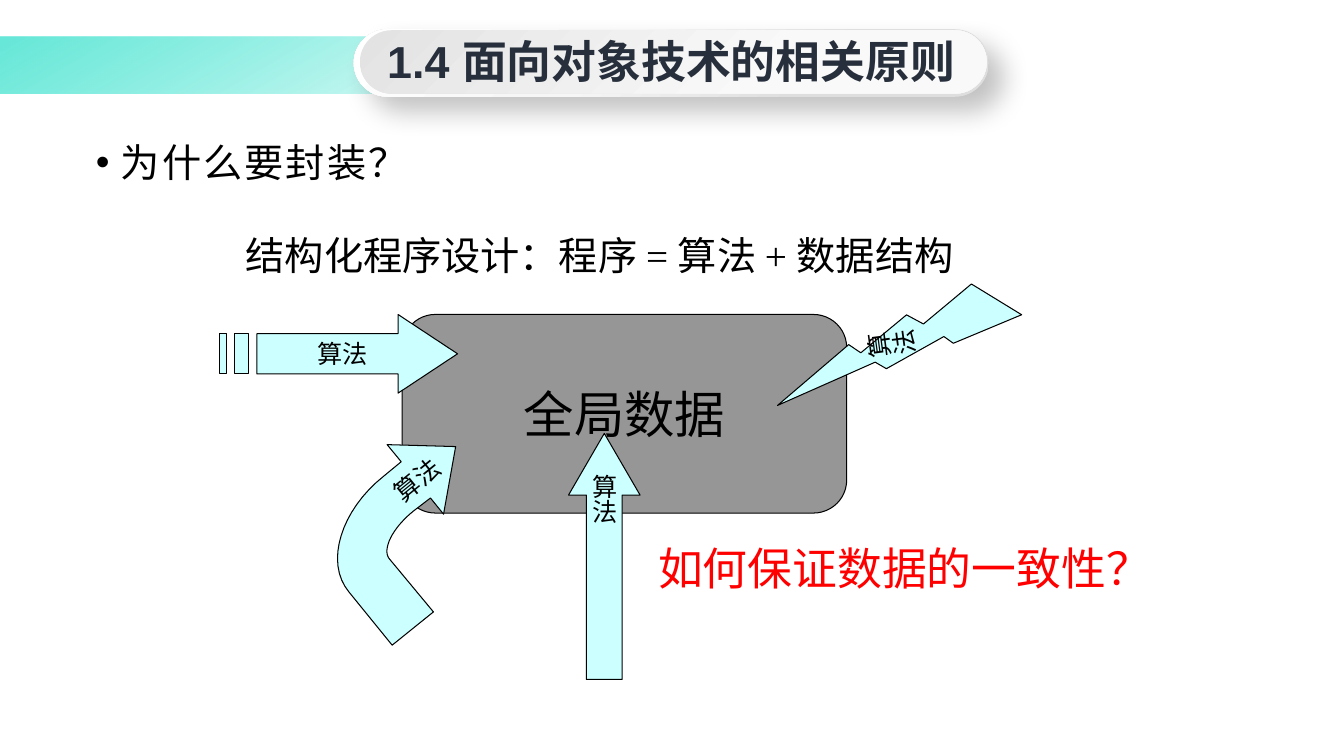
from math import cos, radians, sin
from lxml import etree
from pptx import Presentation
from pptx.dml.color import RGBColor
from pptx.enum.shapes import MSO_SHAPE as SHAPE
from pptx.enum.text import MSO_ANCHOR as ANCHOR, PP_ALIGN as ALIGN
from pptx.oxml.ns import qn
from pptx.util import Pt

BLACK = RGBColor(0x00, 0x00, 0x00)
NAVY = RGBColor(0x26, 0x2F, 0x3B)
RED = RGBColor(0xFF, 0x00, 0x00)
GRAY = RGBColor(0x96, 0x96, 0x96)
CYAN = RGBColor(0xCC, 0xFF, 0xFF)
TEAL = RGBColor(0x4E, 0xE4, 0xD2)
TURQUOISE = RGBColor(0x20, 0xE2, 0xCB)
SILVER = RGBColor(0xDE, 0xDE, 0xDE)
PALE = RGBColor(0xE0, 0xE0, 0xE0)
MIST = RGBColor(0xF6, 0xF6, 0xF6)
WHITE = RGBColor(0xFF, 0xFF, 0xFF)
LIGHT = RGBColor(0xE3, 0xE3, 0xE3)
SNOW = RGBColor(0xF9, 0xF9, 0xF9)
CJK, SANS, SERIF = "Noto Sans CJK SC", "Arial", "Times New Roman"

BANDS = [
    (SHAPE.RECTANGLE, (-0.72, 25.92, 948.24, 41.04), 60,
     [(1, TEAL, 85), (50, TURQUOISE, 0)], None),
    (SHAPE.ROUNDED_RECTANGLE, (252.72, 20.88, 453.6, 48.24), 225,
     [(1, SILVER, 100), (30, PALE, 100), (61, MIST, 100), (100, WHITE, 100)],
     dict(blur=19, dist=14, angle=45, alpha=24)),
    (SHAPE.ROUNDED_RECTANGLE, (257.04, 21.6, 447.84, 45.36), 45,
     [(0, LIGHT, 100), (67, SNOW, 100)], None),
]
TITLE = ("1.4 面向对象技术的相关原则", (262.8, 20.88, 433.44, 46.08),
         dict(name=SANS, size=Pt(32), bold=True), NAVY)
FORMULA = ("结构化程序设计：程序 = 算法 + 数据结构", (168.48, 162, 572.4, 41.04),
           dict(name=SERIF, size=Pt(28)), BLACK)
WARNING = ("如何保证数据的一致性？", (462.96, 383.04, 377.28, 45.36),
           dict(name=SERIF, size=Pt(32)), RED)
QUESTION = ("为什么要封装？", (60.48, 88.56, 856.08, 425.52),
            dict(name=CJK, size=Pt(28)), BLACK)
ALGORITHM = "算法"
LABEL = dict(name=SERIF, size=Pt(18))
BLOCKS = [
    ("全局数据", SHAPE.ROUNDED_RECTANGLE, (287.28, 224.64, 317.52, 141.84),
     GRAY, [0.167], 0, {}, dict(name=SERIF, size=Pt(36))),
    (ALGORITHM, SHAPE.LIGHTNING_BOLT, (606.96, 153.36, 67.68, 181.44),
     CYAN, [], 82.4, dict(vert="eaVert", rot="10800000"), LABEL),
    (ALGORITHM, SHAPE.UP_ARROW, (406.08, 309.6, 51.12, 175.68),
     CYAN, [0.5, 0.862], 0, dict(vert="eaVert"), LABEL),
]
BEND_TURN, BEND_CENTER = 320.9, (292.68, 377.64)
BEND_INSETS = dict(margin_left=Pt(59), margin_bottom=Pt(52))
BEND = [
    [(325.44, 318.96)], [(276.48, 317.52)], [(286.56, 329.76)], [(274.32, 339.84)],
    [(243.36, 364.32), (231.84, 401.76), (249.12, 422.64)],
    [(280.08, 460.8)], [(309.6, 437.04)], [(277.92, 398.88)],
    [(272.88, 392.4), (280.08, 377.28), (295.2, 365.04)],
    [(307.44, 355.68)], [(316.8, 367.2)],
]
SHAFT_TOP, SHAFT_BOTTOM = 238.32, 267.12
ARROW = [(284.4, 224.64), (284.4, SHAFT_TOP), (183.6, SHAFT_TOP),
         (183.6, SHAFT_BOTTOM), (284.4, SHAFT_BOTTOM), (284.4, 280.8), (326.88, 252.72)]
ARROW_INSETS = dict(margin_left=Pt(13))
STRIPES = [(167.76, 177.84), (156.96, 162)]


def add_xml(parent, tag, **attrs):
    return etree.SubElement(parent, qn(tag), {k: str(v) for k, v in attrs.items()})


def set_gradient(sp, angle, stops):
    sp.fill.gradient()
    grad = sp._element.spPr.find(qn("a:gradFill"))
    for child in list(grad):
        grad.remove(child)
    stop_list = add_xml(grad, "a:gsLst")
    for pos, color, alpha in stops:
        stop = add_xml(stop_list, "a:gs", pos=pos * 1000)
        add_xml(add_xml(stop, "a:srgbClr", val=color), "a:alpha", val=alpha * 1000)
    add_xml(grad, "a:lin", ang=angle * 60000, scaled=0)


def set_shadow(sp, blur, dist, angle, alpha):
    effects = sp._element.spPr.find(qn("a:effectLst"))
    outer = add_xml(effects, "a:outerShdw", blurRad=Pt(blur), dist=Pt(dist),
                    dir=angle * 60000, algn="tl", rotWithShape=0)
    add_xml(add_xml(outer, "a:srgbClr", val=BLACK), "a:alpha", val=alpha * 1000)


def write(p, text, fmt, color, spacing=0):
    r = p.add_run()
    r.text = text
    for key, value in fmt.items():
        setattr(r.font, key, value)
    r.font.color.rgb = color
    add_xml(r._r.rPr, "a:ea", typeface=CJK)
    if spacing:
        r._r.rPr.set("spc", str(int(spacing * 100)))


def add_text(s, text, box, fmt, color, align=ALIGN.LEFT, spacing=0):
    sp = s.shapes.add_textbox(*map(Pt, box))
    sp.text_frame.word_wrap = True
    p = sp.text_frame.paragraphs[0]
    p.alignment = align
    write(p, text, fmt, color, spacing)
    return sp


def finish_block(sp, text, color, fmt, frame=None):
    sp.shadow.inherit = False
    sp.fill.solid()
    sp.fill.fore_color.rgb = color
    sp.line.color.rgb = BLACK
    sp.line.width = Pt(0.75)
    tf = sp.text_frame
    for key, value in dict(word_wrap=False, vertical_anchor=ANCHOR.MIDDLE, **(frame or {})).items():
        setattr(tf, key, value)
    p = tf.paragraphs[0]
    p.alignment = ALIGN.CENTER
    write(p, text, fmt, BLACK)


def flatten(segments, steps=16):
    points = []
    for seg in segments:
        if len(seg) == 1:
            points += seg
            continue
        curve = [points[-1]] + seg
        for t in (i / steps for i in range(1, steps + 1)):
            weights = [(1 - t) ** 3, 3 * t * (1 - t) ** 2, 3 * t * t * (1 - t), t ** 3]
            points.append(tuple(sum(w * pt[k] for w, pt in zip(weights, curve)) for k in (0, 1)))
    return points


def rotate(points, center, degrees):
    c, d = cos(radians(degrees)), sin(radians(degrees))
    cx, cy = center
    return [(cx + (x - cx) * c - (y - cy) * d, cy + (x - cx) * d + (y - cy) * c)
            for x, y in points]


def add_outline(s, contours):
    contours = [[(Pt(x), Pt(y)) for x, y in points] for points in contours]
    builder = s.shapes.build_freeform(*contours[0][0])
    for i, points in enumerate(contours):
        if i:
            builder.move_to(*points[0])
        builder.add_line_segments(points[1:], close=True)
    return builder.convert_to_shape()


def main():
    prs = Presentation()
    prs.slide_width, prs.slide_height = Pt(960), Pt(540)
    s = prs.slides.add_slide(prs.slide_layouts[6])

    for kind, box, angle, stops, shadow in BANDS:
        sp = s.shapes.add_shape(kind, *map(Pt, box))
        sp.shadow.inherit = False
        sp.line.fill.background()
        set_gradient(sp, angle, stops)
        if kind == SHAPE.ROUNDED_RECTANGLE:
            sp.adjustments[0] = 0.5
        if shadow:
            set_shadow(sp, **shadow)

    add_text(s, *TITLE, align=ALIGN.CENTER)
    tf = add_text(s, *QUESTION, spacing=1.5).text_frame
    for key, value in dict(margin_left=Pt(7.92), margin_top=0, margin_right=Pt(6.48), margin_bottom=0).items():
        setattr(tf, key, value)
    p = tf.paragraphs[0]
    p.line_spacing, p.space_after = 1.3, Pt(10)
    pPr = p._p.get_or_add_pPr()
    pPr.set("marL", str(Pt(18)))
    pPr.set("indent", str(-Pt(18)))
    add_xml(pPr, "a:buFont", typeface=SANS)
    add_xml(pPr, "a:buChar", char="•")
    add_text(s, *FORMULA)

    for text, kind, box, color, adjust, turn, body, fmt in BLOCKS:
        sp = s.shapes.add_shape(kind, *map(Pt, box))
        for i, value in enumerate(adjust):
            sp.adjustments[i] = value
        sp.rotation = turn
        finish_block(sp, text, color, fmt)
        for key, value in body.items():
            sp.text_frame._txBody.bodyPr.set(key, value)

    sp = add_outline(s, [rotate(flatten(BEND), BEND_CENTER, -BEND_TURN)])
    sp.rotation = BEND_TURN
    finish_block(sp, ALGORITHM, CYAN, LABEL, BEND_INSETS)
    stripes = [[(a, SHAFT_TOP), (a, SHAFT_BOTTOM), (b, SHAFT_BOTTOM), (b, SHAFT_TOP)]
               for a, b in STRIPES]
    finish_block(add_outline(s, [ARROW] + stripes), ALGORITHM, CYAN, LABEL, ARROW_INSETS)
    add_text(s, *WARNING)
    prs.save("out.pptx")


if __name__ == "__main__":
    main()
